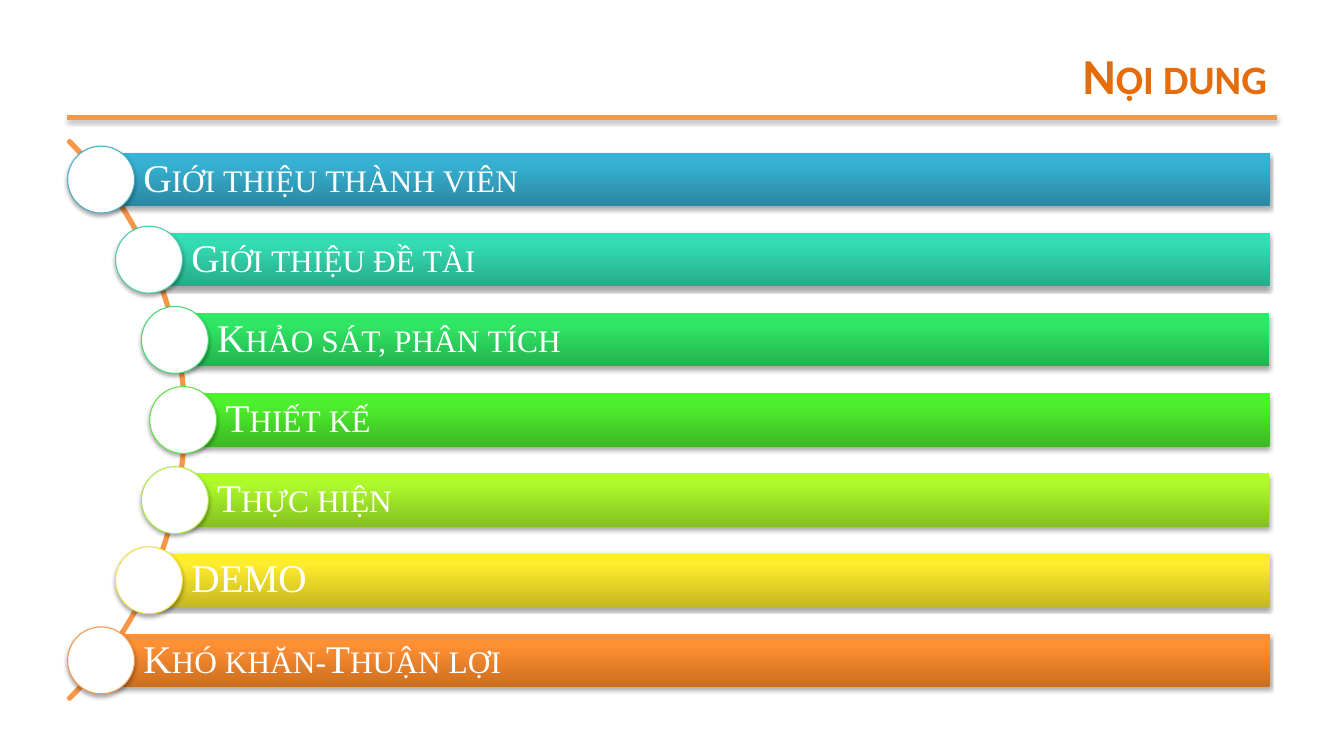
"""Builds the agenda slide: seven coloured bars strung along an arc."""
from math import sqrt

from pptx import Presentation
from pptx import util as u
from pptx.dml.color import RGBColor
from pptx.enum import shapes, text
from pptx.oxml import parse_xml
from pptx.oxml.ns import nsdecls, qn

WHITE = RGBColor(0xFF, 0xFF, 0xFF)
ORANGE = RGBColor(0xF7, 0x96, 0x46)
TITLE_ORANGE = RGBColor(0xE4, 0x6C, 0x0A)

CENTRE_X, CENTRE_Y = -25, 50
ARC_RADIUS, DOT_PATH_RADIUS = 47.1, 46.8
STEP, BAR_HEIGHT, BAR_RIGHT, DOT = 9.54, 6.36, 151.1, 7.96

AGENDA = [
    ("Giới thiệu thành viên", "4BACC6", ("2A88A2", "37B1D2", "34B4D6")),
    ("Giới thiệu đề tài", "49CFAE", ("27AA89", "33DCB2", "30E1B5")),
    ("Khảo sát, phân tích", "47D872", ("25B24E", "30E765", "2DEB64")),
    ("Thiết kế", "60E146", ("3CB923", "4EF02E", "4CF52A")),
    ("Thực hiện", "ACE946", ("85C022", "ADF92C", "AFFE28")),
    ("DEMO", "F0E146", ("C6B821", "FFEC2D", "FFED2E")),
    ("Khó khăn-Thuận lợi", "F79646", ("CC6E20", "FF9034", "FF9136")),
]


def write(tf, content, font, size, color, bold=False, align=text.PP_ALIGN.LEFT,
          anchor=text.MSO_ANCHOR.MIDDLE, spacing=None):
    """Puts one small-caps paragraph into a text frame."""
    tf.word_wrap = True
    tf.auto_size = text.MSO_AUTO_SIZE.NONE
    tf.vertical_anchor = anchor
    p = tf.paragraphs[0]
    p.alignment = align
    p.line_spacing = spacing
    r = p.add_run()
    r.text = content
    r.font.name = font
    r.font.size = u.Pt(size)
    r.font.bold = bold
    r.font.color.rgb = color
    r._r.get_or_add_rPr().set("cap", "small")


class Deck:
    """Holds the current slide and its 160 by 90 grid."""

    def __init__(self):
        """Opens a title-only slide."""
        self.prs = Presentation()
        self.prs.slide_width, self.prs.slide_height = u.Inches(13.33), u.Inches(7.5)
        self.slide = self.prs.slides.add_slide(self.prs.slide_layouts[5])

    def grid(self, *values):
        """Turns grid units into slide lengths."""
        return [u.Emu(round(v * self.prs.slide_height / 90)) for v in values]

    def shadow(self, sp):
        """Gives a shape a soft shadow below it."""
        sp._element.spPr.append(parse_xml(
            f'<a:effectLst {nsdecls("a")}><a:outerShdw blurRad="40000" dist="23000" '
            'dir="5400000" rotWithShape="0"><a:srgbClr val="000000">'
            '<a:alpha val="35000"/></a:srgbClr></a:outerShdw></a:effectLst>'))

    def title(self, content, *box):
        """Places and fills the title."""
        sp = self.slide.shapes.title
        sp.left, sp.top, sp.width, sp.height = self.grid(*box)
        write(sp.text_frame, content, "Calibri", 36, TITLE_ORANGE, bold=True,
              align=text.PP_ALIGN.RIGHT, anchor=text.MSO_ANCHOR.BOTTOM)

    def rule(self, left, right, y):
        """Draws the line under the title."""
        sp = self.slide.shapes.add_connector(
            shapes.MSO_CONNECTOR.STRAIGHT, *self.grid(left, y, right, y))
        sp.line.color.rgb = ORANGE
        sp.line.width = u.Pt(3)
        self.shadow(sp)

    def shape(self, kind, *box):
        """Adds a preset shape on the grid."""
        return self.slide.shapes.add_shape(kind, *self.grid(*box))

    def arc(self, x, y, radius):
        """Draws the right-hand quarter of a circle."""
        sp = self.shape(shapes.MSO_SHAPE.BLOCK_ARC, x - radius, y - radius,
                        2 * radius, 2 * radius)
        for i, value in enumerate((189, 27, 0.003)):
            sp.adjustments[i] = value
        sp.fill.background()
        sp.line.color.rgb = ORANGE
        sp.line.width = u.Pt(2)
        sp.shadow.inherit = False

    def bar(self, x, y, content, colors):
        """Draws a gradient bar with its label, centred on y."""
        sp = self.shape(shapes.MSO_SHAPE.RECTANGLE, x, y - BAR_HEIGHT / 2,
                        BAR_RIGHT - x, BAR_HEIGHT)
        sp.fill.gradient()
        sp.line.fill.background()
        stops = "".join(f'<a:gs pos="{pos}"><a:srgbClr val="{c}"/></a:gs>'
                        for pos, c in zip((0, 80000, 100000), colors))
        spPr = sp._element.spPr
        spPr.replace(spPr.find(qn("a:gradFill")), parse_xml(
            f'<a:gradFill {nsdecls("a")} rotWithShape="1"><a:gsLst>{stops}</a:gsLst>'
            '<a:lin ang="16200000" scaled="0"/></a:gradFill>'))
        self.shadow(sp)
        tf = sp.text_frame
        tf.margin_left = u.Inches(0.42)
        tf.margin_top = tf.margin_right = tf.margin_bottom = u.Inches(0.08)
        write(tf, content, "Times New Roman", 28, WHITE, spacing=0.9)

    def dot(self, x, y, color):
        """Draws a white disc centred on a point."""
        sp = self.shape(shapes.MSO_SHAPE.OVAL, x - DOT / 2, y - DOT / 2, DOT, DOT)
        sp.fill.solid()
        sp.fill.fore_color.rgb = WHITE
        sp.line.color.rgb = color
        sp.line.width = u.Pt(0.75)
        self.shadow(sp)


def main():
    """Builds and saves the slide."""
    deck = Deck()
    deck.title("Nội dung", 28, 2, 124, 11)
    deck.rule(8, 152, 14)
    deck.arc(CENTRE_X, CENTRE_Y, ARC_RADIUS)
    for i, (label, outline, colors) in enumerate(AGENDA):
        dy = (i - len(AGENDA) // 2) * STEP
        x, y = CENTRE_X + sqrt(DOT_PATH_RADIUS ** 2 - dy ** 2), CENTRE_Y + dy
        deck.bar(x, y, label, colors)
        deck.dot(x, y, RGBColor.from_string(outline))
    deck.prs.save("out.pptx")


if __name__ == "__main__":
    main()
